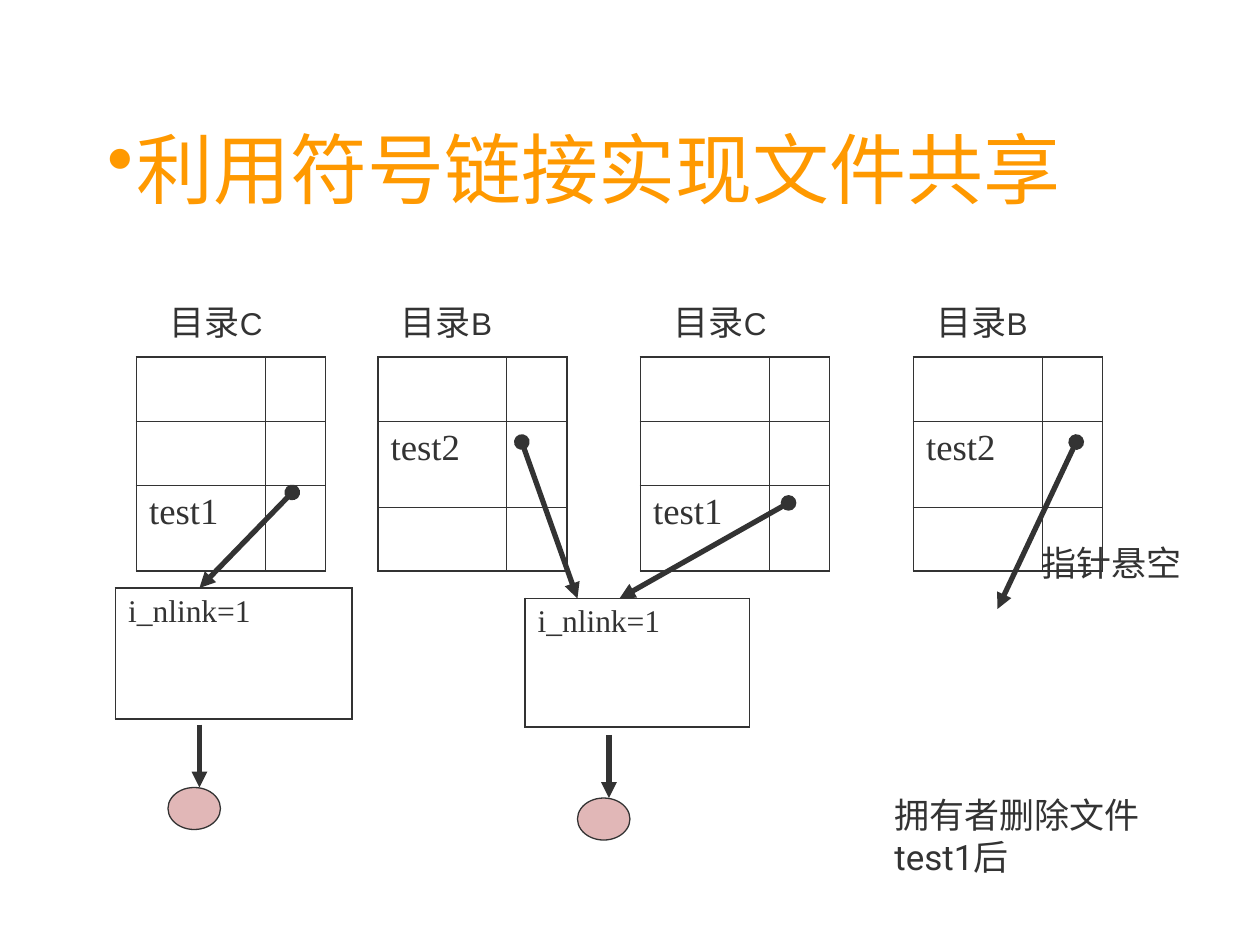
from pptx import Presentation
from pptx.dml.color import RGBColor
from pptx.enum.shapes import MSO_CONNECTOR as Connector, MSO_SHAPE as Shape
from pptx.enum.text import MSO_ANCHOR as Anchor, MSO_AUTO_SIZE as AutoSize, PP_ALIGN as Align
from pptx.oxml.ns import qn
from pptx.util import Inches, Pt
from lxml.etree import SubElement

COLORS = {"ink": "333333", "title": "FF9900", "data": "E1B7B7"}
SERIF, SANS, LATIN = "Times New Roman", "Roboto", "Arial"
CELLS_PER_INCH = 12
OUTER, INNER = 1.08, 0.45


def grid(*cells):
    return [Inches(cell / CELLS_PER_INCH) for cell in cells]


def color(key):
    return RGBColor.from_string(COLORS[key])


def add_text(paragraph, text, font=SERIF, size=18, ink="ink"):
    run = paragraph.add_run()
    run.text = text
    run.font.name = font
    run.font.size = Pt(size)
    run.font.color.rgb = color(ink)


def add_label(slide, box, *parts):
    frame = slide.shapes.add_textbox(*grid(*box)).text_frame
    frame.word_wrap = True
    frame.auto_size = AutoSize.SHAPE_TO_FIT_TEXT
    for text, font, size in parts:
        add_text(frame.paragraphs[0], text, font=font, size=size)


def add_arrow(slide, start, end, head=None):
    arrow = slide.shapes.add_connector(Connector.STRAIGHT, *grid(*start, *end))
    arrow.line.color.rgb = color("ink")
    arrow.line.width = Pt(3)
    line = arrow.line._get_or_add_ln()
    if head:
        SubElement(line, qn("a:headEnd"), type=head)
    SubElement(line, qn("a:tailEnd"), type="triangle")
    SubElement(arrow._element.spPr, qn("a:effectLst"))


def set_borders(cell, widths):
    properties = cell._tc.get_or_add_tcPr()
    for position, (side, width) in enumerate(zip("LRTB", widths)):
        line = SubElement(properties, qn(f"a:ln{side}"), w=str(Pt(width)))
        fill = SubElement(line, qn("a:solidFill"))
        SubElement(fill, qn("a:srgbClr"), val=COLORS["ink"])
        properties.insert(position, line)


def add_records(slide, box, columns, rows, entries, size):
    left, top, width, height = grid(*box)
    table = slide.shapes.add_table(
        len(rows), len(columns), left, top, width, height).table
    table.first_row = table.horz_banding = False
    for column, share in zip(table.columns, columns):
        column.width = int(width * share)
    for row, share in zip(table.rows, rows):
        row.height = int(height * share)
    last_row, last_column = len(rows) - 1, len(columns) - 1
    for r in range(len(rows)):
        for c in range(len(columns)):
            cell = table.cell(r, c)
            cell.fill.background()
            edges = (c == 0, c == last_column, r == 0, r == last_row)
            set_borders(cell, [OUTER if edge else INNER for edge in edges])
            if (r, c) in entries:
                add_text(cell.text_frame.paragraphs[0], entries[r, c], size=size)


def add_directory(slide, box, name, entry, entry_row, label_shift):
    left, top, width, height = box
    add_label(slide, (left + label_shift, top - 6, 17, 5.3),
              ("目录", SANS, 20), (name, LATIN, 18))
    rows = [0.4 if row == entry_row else 0.3 for row in range(3)]
    add_records(slide, box, (0.68, 0.32), rows, {(entry_row, 0): entry}, 21)


def add_inode(slide, box):
    left, top, width, height = box
    add_records(slide, box, (1,), (1,), {(0, 0): "i_nlink=1"}, 18)
    data = slide.shapes.add_shape(Shape.OVAL, *grid(left + 5, top + 19, 5, 4))
    data.shadow.inherit = False
    data.fill.solid()
    data.fill.fore_color.rgb = color("data")
    data.line.color.rgb = color("ink")
    data.line.width = Pt(0.75)
    add_arrow(slide, (left + 8, top + 13), (left + 8, top + 19))


def add_title(slide, box):
    title = slide.shapes.title
    title.left, title.top, title.width, title.height = grid(*box)
    frame = title.text_frame
    frame.auto_size = AutoSize.NONE
    frame.vertical_anchor = Anchor.BOTTOM
    heading = frame.paragraphs[0]
    heading.alignment = Align.LEFT
    properties = heading._p.get_or_add_pPr()
    SubElement(SubElement(properties, qn("a:buClr")), qn("a:srgbClr"), val=COLORS["title"])
    SubElement(properties, qn("a:buChar"), char="•")
    add_text(heading, "利用符号链接实现文件共享", size=44, ink="title")


def main():
    deck = Presentation()
    deck.slide_width, deck.slide_height = Inches(10), Inches(7.5)
    slide = deck.slides.add_slide(deck.slide_layouts[5])
    add_title(slide, (9, 6, 102, 15))

    directories = [
        (13, "C", "test1", 2, 2),
        (36, "B", "test2", 1, 1),
        (61, "C", "test1", 2, 2),
        (87, "B", "test2", 1, 1),
    ]
    for left, *content in directories:
        add_directory(slide, (left, 34, 18, 20.4), *content)

    for inode_box in [(11, 56, 22.5, 12.5), (50, 57, 21.4, 12.25)]:
        add_inode(slide, inode_box)

    pointers = [
        ((27.84, 46.9), (19, 56)),
        ((49.7, 42.1), (55, 57)),
        ((75.1, 47.9), (59, 57)),
        ((102.5, 42.1), (95, 58)),
    ]
    for start, end in pointers:
        add_arrow(slide, start, end, head="oval")

    add_label(slide, (84, 75, 30, 9.25), ("拥有者删除文件test1后", SANS, 20))
    add_label(slide, (98, 51, 18, 5.3), ("指针悬空", SANS, 20))
    deck.save("out.pptx")


if __name__ == "__main__":
    main()
